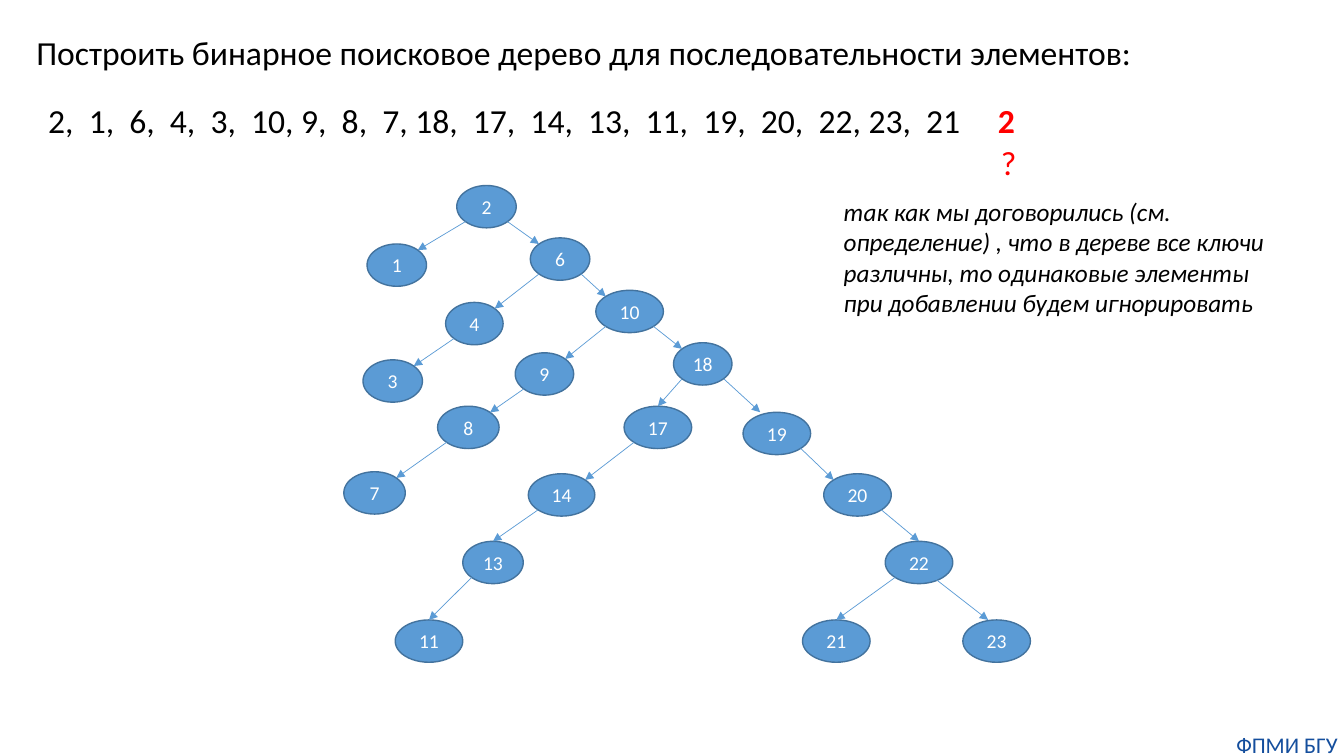
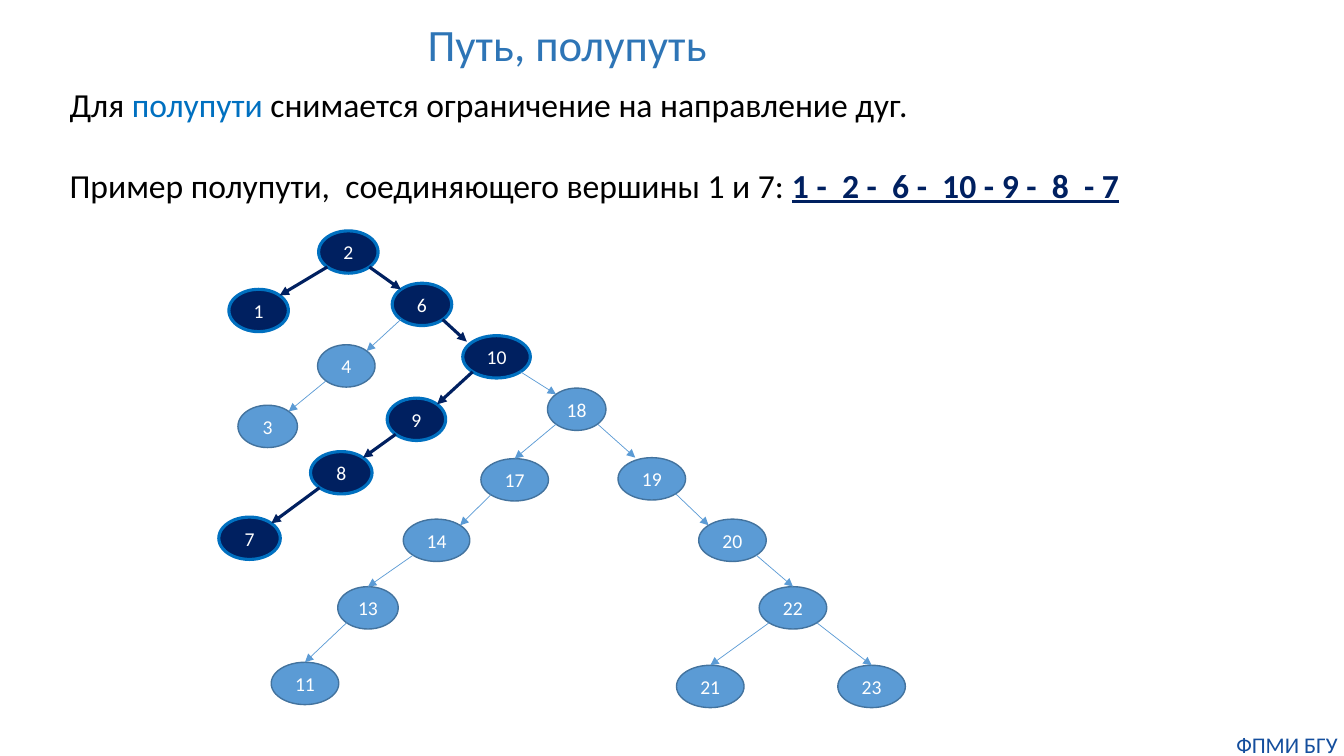
from math import sqrt

from lxml import etree
from pptx import Presentation
from pptx.dml.color import RGBColor
from pptx.enum.shapes import MSO_CONNECTOR as CONN, MSO_SHAPE as SHAPE
from pptx.enum.text import MSO_ANCHOR as ANCHOR, PP_ALIGN as ALIGN
from pptx.oxml.ns import qn
from pptx.util import Inches, Pt

# Shared style
COLORS = {
    "text": "000000", "white": "FFFFFF", "red": "FF0000",
    "title": "2E75B6", "footer": "144E9D", "accent": "0070C0",
    "node": "5B9BD5", "node_line": "43739E", "path": "002060",
}
FONT = "Calibri"
NODE_STYLES = {
    "plain": {"fill": "node", "line": "node_line", "width": 1},
    "path": {"fill": "path", "line": "accent", "width": 2.25},
}
ARROW_STYLES = {"plain": ("node", 0.5), "path": ("path", 2.25)}
DIAGONAL = sqrt(2) / 4  # share of an ellipse's size from centre to its 45° point

# Tree: parent of each key, node sizes, children whose arrow ends at the top
PARENTS = {1: 2, 6: 2, 4: 6, 10: 6, 3: 4, 9: 10, 18: 10, 8: 9, 7: 8, 17: 18,
           19: 18, 14: 17, 13: 14, 11: 13, 20: 19, 22: 20, 21: 22, 23: 22}
WIDTHS = {1: 0.59, 2: 0.59, 3: 0.59, 4: 0.57, 6: 0.59, 7: 0.61, 8: 0.61,
          9: 0.58, 13: 0.6, 14: 0.66, 18: 0.58}
WIDE, HEIGHT = 0.67, 0.42
TOP_ENDS = {11, 13, 17, 21, 22, 23}

# Slide content: node positions, freely placed arrows, highlighted path
FULL_TREE = {
    "nodes": {
        2: (4.53, 1.84), 1: (3.64, 2.42), 6: (5.26, 2.36), 4: (4.42, 3),
        3: (3.6, 3.57), 10: (5.91, 2.88), 9: (5.11, 3.5), 8: (4.34, 4.03),
        7: (3.41, 4.68), 18: (6.68, 3.4), 17: (6.19, 4.03), 14: (5.24, 4.7),
        13: (4.59, 5.37), 11: (3.92, 6.15), 19: (7.37, 4.09), 20: (8.17, 4.7),
        22: (8.78, 5.37), 21: (7.96, 6.15), 23: (9.55, 6.15)},
    "free": {19: ((7.18, 3.76), (7.54, 4.09)), 23: ((9.26, 5.73), (9.8, 6.15))},
    "path": set(),
}
SEMIPATH_TREE = {
    "nodes": {
        2: (3.16, 2.29), 1: (2.27, 2.87), 6: (3.89, 2.81), 4: (3.15, 3.42),
        3: (2.36, 4.02), 10: (4.59, 3.33), 9: (3.84, 3.95), 8: (3.08, 4.48),
        7: (2.17, 5.13), 18: (5.43, 3.85), 17: (4.77, 4.55), 14: (4, 5.15),
        13: (3.35, 5.82), 11: (2.69, 6.57), 19: (6.13, 4.54), 20: (6.93, 5.15),
        22: (7.53, 5.82), 21: (6.71, 6.6), 23: (8.31, 6.6)},
    "free": {10: ((4.39, 3.17), (4.63, 3.39)), 19: ((5.93, 4.21), (6.3, 4.54))},
    "path": {1, 2, 6, 10, 9, 8, 7},
}
BUILD_TITLE = "Построить бинарное поисковое дерево для последовательности элементов:"
BUILD_TEXTS = [  # text, box, format
    ("2,  1,  6,  4,  3,  10, 9,  8,  7, 18,  17,  14,  13,  11,  19,  20,  22, 23,  21",
     (0.38, 0.94, 9.31, 0.5), {}),
    ("2", (9.8, 0.94, 0.37, 0.5), {"color": "red", "bold": True}),
    ("?", (9.83, 1.36, 0.36, 0.5), {"color": "red"}),
    ("так как мы договорились (см. определение) , что в дереве все ключи различны, "
     "то одинаковые элементы при добавлении будем игнорировать",
     (8.27, 1.9, 4.43, 1.31), {"size": 18, "italic": True, "wrap": True}),
]
SEMIPATH_BODY = [
    [("Для ", {}), ("полупути", {"color": "accent"}),
     (" снимается ограничение на направление дуг.", {})],
    [("Пример полупути,  соединяющего вершины 1 и 7: ", {}),
     ("1 -  2 -  6 -  10 - 9 -  8  - 7",
      {"color": "path", "bold": True, "underline": True})],
]


def rgb(name):
    return RGBColor.from_string(COLORS[name])


def add_run(p, text, size=24, color="text", **fmt):
    r = p.add_run()
    r.text = text
    r.font.name, r.font.size = FONT, Pt(size)
    r.font.color.rgb = rgb(color)
    for key, value in fmt.items():
        setattr(r.font, key, value)


def place(sp, box):
    sp.left, sp.top, sp.width, sp.height = map(Inches, box)


def add_text(s, text, box, wrap=False, align=ALIGN.LEFT, margin=None, **fmt):
    tf = s.shapes.add_textbox(*map(Inches, box)).text_frame
    tf.word_wrap = wrap
    if margin is not None:
        tf.margin_left = tf.margin_right = tf.margin_top = tf.margin_bottom = margin
    tf.paragraphs[0].alignment = align
    add_run(tf.paragraphs[0], text, **fmt)


def set_title(s, text, box, **fmt):
    place(s.shapes.title, box)
    tf = s.shapes.title.text_frame
    tf.word_wrap, tf.vertical_anchor = False, ANCHOR.TOP
    tf.paragraphs[0].alignment = ALIGN.LEFT
    add_run(tf.paragraphs[0], text, **fmt)


def add_footer(s):
    add_text(s, "ФПМИ БГУ", (12.2, 7.25, 1.13, 0.27), wrap=True,
             align=ALIGN.CENTER, margin=0, size=16, color="footer")


def add_node(s, key, at, style):
    sp = s.shapes.add_shape(SHAPE.OVAL, *map(Inches, (*at, WIDTHS.get(key, WIDE), HEIGHT)))
    sp.shadow.inherit = False
    sp.fill.solid()
    sp.fill.fore_color.rgb = rgb(style["fill"])
    sp.line.color.rgb, sp.line.width = rgb(style["line"]), Pt(style["width"])
    tf = sp.text_frame
    tf.margin_left = tf.margin_right = tf.margin_top = tf.margin_bottom = 0
    tf.vertical_anchor = ANCHOR.MIDDLE
    tf.paragraphs[0].alignment = ALIGN.CENTER
    add_run(tf.paragraphs[0], str(key), size=14, color="white")
    return sp


def rim_point(sp, dx, dy):
    """Point on an ellipse in diagonal direction dx, dy (each -1 or 1)."""
    return (int(sp.left + sp.width * (0.5 + dx * DIAGONAL)),
            int(sp.top + sp.height * (0.5 + dy * DIAGONAL)))


def add_arrow(s, start, end, style):
    color, width = style
    cx = s.shapes.add_connector(CONN.STRAIGHT, *start, *end)
    cx.line.color.rgb, cx.line.width = rgb(color), Pt(width)
    etree.SubElement(cx.line._get_or_add_ln(), qn("a:tailEnd"), type="triangle")
    etree.SubElement(cx._element.spPr, qn("a:effectLst"))
    return cx


def add_tree(s, tree):
    path = tree["path"]
    nodes = {key: add_node(s, key, at, NODE_STYLES["path" if key in path else "plain"])
             for key, at in tree["nodes"].items()}
    for key, parent in PARENTS.items():
        style = ARROW_STYLES["path" if {key, parent} <= path else "plain"]
        side = -1 if key < parent else 1
        if key in tree["free"]:
            start, end = (tuple(map(Inches, pt)) for pt in tree["free"][key])
        else:
            start = rim_point(nodes[parent], side, 1)
            end = rim_point(nodes[key], -side, -1)
        cx = add_arrow(s, start, end, style)
        if key in TOP_ENDS and key not in tree["free"]:
            cx.end_connect(nodes[key], 0)


def fill_body(sp, paragraphs, box):
    place(sp, box)
    tf = sp.text_frame
    tf.word_wrap, tf.vertical_anchor = True, ANCHOR.TOP
    for i, runs in enumerate(paragraphs):
        p = tf.add_paragraph() if i else tf.paragraphs[0]
        pPr = p._p.get_or_add_pPr()
        pPr.set("marL", "0")
        pPr.set("indent", "0")
        etree.SubElement(pPr, qn("a:buNone"))
        p.space_before = Pt(29 if i else 0)
        for text, fmt in runs:
            add_run(p, text, **fmt)


def main():
    prs = Presentation()
    prs.slide_width, prs.slide_height = Inches(13.33), Inches(7.5)

    # Building the tree
    s = prs.slides.add_slide(prs.slide_layouts[5])
    set_title(s, BUILD_TITLE, (0.26, 0.27, 11.24, 0.5))
    add_tree(s, FULL_TREE)
    for text, box, fmt in BUILD_TEXTS:
        add_text(s, text, box, **fmt)
    add_footer(s)

    # Path and semipath
    s = prs.slides.add_slide(prs.slide_layouts[1])
    set_title(s, "Путь, полупуть", (4.14, 0.12, 3, 0.64), size=32, color="title")
    fill_body(s.placeholders[1], SEMIPATH_BODY, (0.59, 0.78, 12.74, 1.31))
    add_tree(s, SEMIPATH_TREE)
    add_footer(s)

    prs.save("out.pptx")


if __name__ == "__main__":
    main()
